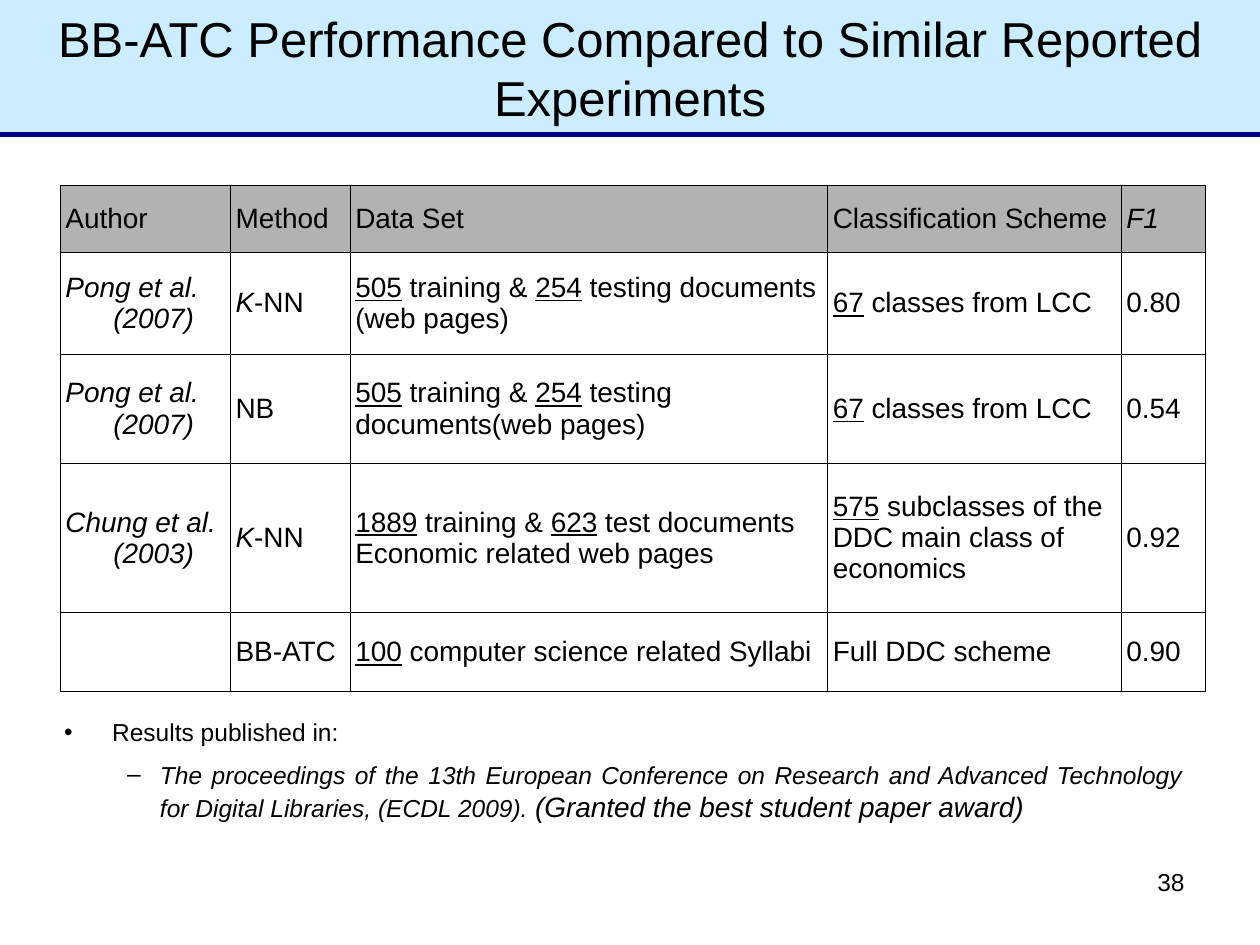
from lxml import etree
from pptx import Presentation
from pptx import util as u
from pptx.dml.color import RGBColor
from pptx.enum import shapes, text
from pptx.oxml.ns import qn

BLACK = RGBColor(0x00, 0x00, 0x00)
NAVY = RGBColor(0x00, 0x00, 0x80)
PALE_BLUE = RGBColor(0xCC, 0xEC, 0xFF)
GREY = RGBColor(0xB2, 0xB2, 0xB2)
FONT = "Arial"

COLUMN_WIDTHS = [1.35, 0.95, 3.79, 2.33, 0.67]
ROW_HEIGHTS = [0.53, 0.81, 0.87, 1.18, 0.63]

# A run is (text, style): "i" italic, "u" underlined, "" plain.
# A paragraph is a list of runs, and a cell is a list of paragraphs.
K_NN = [[("K", "i"), ("-NN", "")]]
LCC = [[("67", "u"), (" classes from LCC", "")]]


def plain(words):
    return [[(words, "")]]


def italic(words):
    return [[(words, "i")]]


def pong_data(ending):
    return [[("505", "u"), (" training & ", ""), ("254", "u"), (ending, "")]]


ROWS = [
    [plain("Author"), plain("Method"), plain("Data Set"),
     plain("Classification Scheme"), italic("F1")],
    [italic("Pong et al. (2007)"), K_NN,
     pong_data(" testing documents (web pages)"), LCC, plain("0.80")],
    [italic("Pong et al. (2007)"), plain("NB"),
     pong_data(" testing documents(web pages)"), LCC, plain("0.54")],
    [italic("Chung et al. (2003)"), K_NN,
     [[("1889", "u"), (" training & ", ""), ("623", "u"), (" test documents", "")],
      [("Economic related web pages", "")]],
     [[("575", "u"), (" subclasses of the DDC main class of economics", "")]],
     plain("0.92")],
    [[], plain("BB-ATC"),
     [[("100", "u"), (" computer science related Syllabi", "")]],
     plain("Full DDC scheme"), plain("0.90")],
]


def add_span(para, words, size, style=""):
    span = para.add_run()
    span.text = words
    font = span.font
    font.name, font.size = FONT, u.Pt(size)
    font.color.rgb = BLACK
    font.bold = False
    font.italic = "i" in style
    font.underline = "u" in style


def place(shape, left, top, width, height):
    shape.left, shape.top = u.Inches(left), u.Inches(top)
    shape.width, shape.height = u.Inches(width), u.Inches(height)


def set_indent(para, left, first):
    properties = para._p.get_or_add_pPr()
    properties.set("marL", str(u.Inches(left)))
    properties.set("indent", str(u.Inches(first)))
    return properties


def set_bullet(para, mark, left, first):
    properties = set_indent(para, left, first)
    colour = etree.SubElement(properties, qn("a:buClr"))
    etree.SubElement(colour, qn("a:srgbClr"), val=str(BLACK))
    etree.SubElement(properties, qn("a:buFont"), typeface=FONT)
    etree.SubElement(properties, qn("a:buChar"), char=mark)


def set_borders(cell):
    properties = cell._tc.get_or_add_tcPr()
    for side in ("lnL", "lnR", "lnT", "lnB"):
        line = etree.SubElement(properties, qn(f"a:{side}"), w=str(u.Pt(0.45)))
        fill = etree.SubElement(line, qn("a:solidFill"))
        etree.SubElement(fill, qn("a:srgbClr"), val=str(BLACK))


def fill_title(title):
    place(title, 0, 0, 10, 1.07)
    title.fill.solid()
    title.fill.fore_color.rgb = PALE_BLUE
    frame = title.text_frame
    frame.auto_size = text.MSO_AUTO_SIZE.NONE
    frame.vertical_anchor = text.MSO_ANCHOR.MIDDLE
    para = frame.paragraphs[0]
    para.alignment = text.PP_ALIGN.CENTER
    add_span(para, "BB-ATC Performance Compared to Similar Reported Experiments", 28)


def add_rule(page):
    rule = page.shapes.add_connector(
        shapes.MSO_CONNECTOR.STRAIGHT,
        u.Inches(0), u.Inches(1.07), u.Inches(10), u.Inches(1.07))
    rule.line.color.rgb = NAVY
    rule.line.width = u.Pt(3)
    etree.SubElement(rule._element.spPr, qn("a:effectLst"))


def fill_cell(cell, paragraphs, hanging):
    cell.margin_left = cell.margin_right = u.Inches(0.04)
    cell.margin_top = cell.margin_bottom = u.Inches(0.05)
    cell.vertical_anchor = text.MSO_ANCHOR.MIDDLE
    frame = cell.text_frame
    for index, spans in enumerate(paragraphs):
        para = frame.add_paragraph() if index else frame.paragraphs[0]
        if hanging:
            set_indent(para, 0.38, -0.38)
        for words, style in spans:
            add_span(para, words, 16, style)


def add_results_table(page):
    table = page.shapes.add_table(
        len(ROWS), len(COLUMN_WIDTHS), u.Inches(0.48), u.Inches(1.47),
        u.Inches(sum(COLUMN_WIDTHS)), u.Inches(sum(ROW_HEIGHTS))).table
    table.first_row = table.horz_banding = False
    for column, width in zip(table.columns, COLUMN_WIDTHS):
        column.width = u.Inches(width)
    for row, height in zip(table.rows, ROW_HEIGHTS):
        row.height = u.Inches(height)
    for r, cells in enumerate(ROWS):
        for c, paragraphs in enumerate(cells):
            cell = table.cell(r, c)
            fill_cell(cell, paragraphs, hanging=c == 0)
            set_borders(cell)
            if r == 0:
                cell.fill.solid()
                cell.fill.fore_color.rgb = GREY
            else:
                cell.fill.background()


def fill_publication(body):
    place(body, 0.41, 5.64, 9.08, 0.94)
    frame = body.text_frame
    frame.auto_size = text.MSO_AUTO_SIZE.SHAPE_TO_FIT_TEXT
    frame.vertical_anchor = text.MSO_ANCHOR.MIDDLE

    heading = frame.paragraphs[0]
    heading.space_before, heading.space_after = u.Pt(0), u.Pt(3.5)
    set_bullet(heading, "•", 0.38, -0.38)
    add_span(heading, "Results published in:", 14)

    venue = frame.add_paragraph()
    venue.level = 1
    venue.space_before = venue.space_after = u.Pt(4)
    set_bullet(venue, "–", 0.76, -0.26)
    add_span(venue, "The proceedings of the 13th European Conference on Research and "
             "Advanced Technology for Digital Libraries, (ECDL 2009). ", 14, "i")
    add_span(venue, "(Granted the best student paper award)", 16, "i")

    for para in frame.paragraphs:
        para.alignment = text.PP_ALIGN.JUSTIFY


def add_page_number(page):
    box = page.shapes.add_textbox(
        u.Inches(7.17), u.Inches(6.83), u.Inches(2.33), u.Inches(0.52))
    box.text_frame.word_wrap = True
    para = box.text_frame.paragraphs[0]
    para.alignment = text.PP_ALIGN.RIGHT
    add_span(para, "38", 14)


def main():
    deck = Presentation()
    deck.slide_width, deck.slide_height = u.Inches(10), u.Inches(7.5)
    page = deck.slides.add_slide(deck.slide_layouts[1])

    # Heading band
    fill_title(page.shapes.title)
    add_rule(page)

    # Comparison and publication
    add_results_table(page)
    fill_publication(page.placeholders[1])
    add_page_number(page)

    deck.save("out.pptx")


if __name__ == "__main__":
    main()
